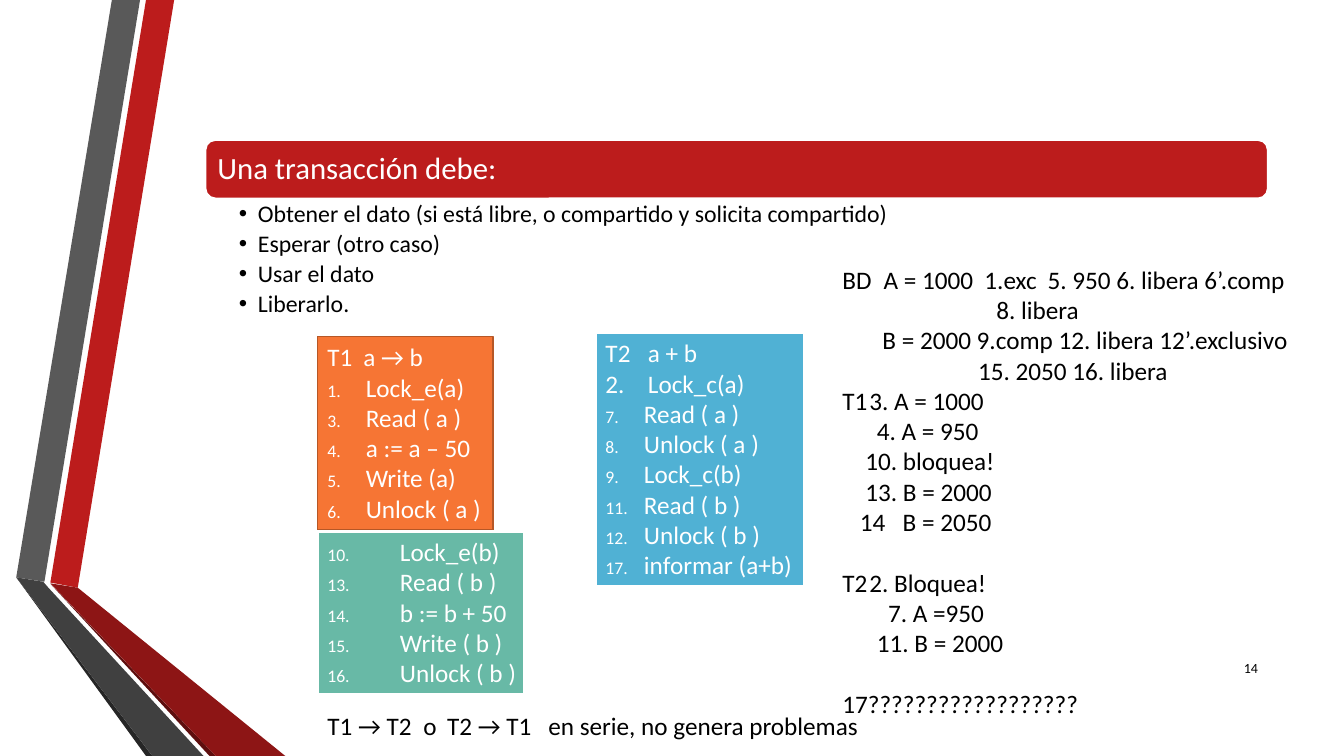
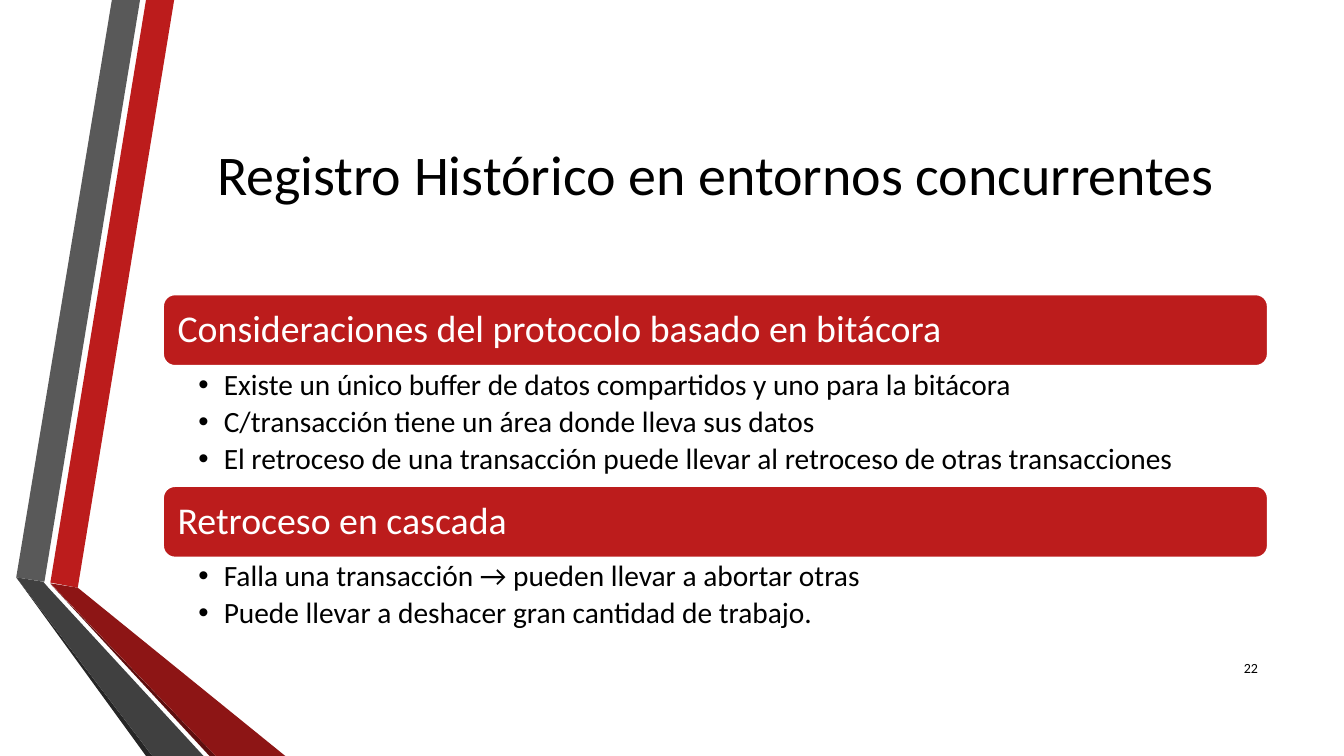
"""Build two slides on transaction locking and log-based recovery."""
from dataclasses import dataclass

from lxml.etree import SubElement
from pptx import Presentation
from pptx.dml.color import RGBColor
from pptx.enum.shapes import MSO_SHAPE as Preset
from pptx.enum.text import MSO_ANCHOR as Anchor, PP_ALIGN as Align
from pptx.oxml.ns import qn
from pptx.util import Cm, Pt


@dataclass(frozen=True)
class Theme:
    font: str = "Calibri"
    ink: str = "000000"
    paper: str = "FFFFFF"
    red: str = "BC1C1C"
    orange: str = "F67534"
    rust: str = "B65726"
    blue: str = "50B1D4"
    green: str = "68B9A6"
    title: int = 40
    body: int = 18
    page: int = 10


THEME = Theme()
WIDTH, HEIGHT = 33.87, 19.05
RIGHT = 31.95

RIBBONS = [
    (THEME.red, [(1.27, 14.68), (1.96, 14.81), (4.39, 0), (3.68, 0)]),
    ("595959", [(3.53, 0), (2.82, 0), (0.41, 14.55), (1.12, 14.66)]),
    ("262626", [(0.41, 14.55), (3.68, HEIGHT), (3.84, HEIGHT)]),
    ("5E0E0E", [(1.27, 14.71), (5.28, HEIGHT), (5.44, HEIGHT)]),
    ("8D1515", [(1.27, 14.7), (5.44, HEIGHT), (7.19, HEIGHT), (1.96, 14.81)]),
    ("404040", [(5.13, HEIGHT), (1.22, 14.81), (1.09, 14.66), (0.41, 14.55), (3.84, HEIGHT)]),
]

LOCKING = dict(
    page="14",
    left=5.18, top=3.53, band=1.47, row=0.8, head_size=22, item_size=17,
    head_inset=0.23, item_inset=(0.84, 0.08), hang=0.48,
    sections=[("Una transacción debe:", [
        "Obtener el dato (si está libre, o compartido y solicita compartido)",
        "Esperar (otro caso)",
        "Usar el dato",
        "Liberarlo.",
    ])],
)
RECOVERY = dict(
    page="22",
    title="Registro Histórico en entornos concurrentes",
    left=4.11, top=7.42, band=1.8, row=1.01, head_size=27, item_size=21,
    head_inset=0.28, item_inset=(0.89, 0.1), hang=0.64,
    sections=[
        ("Consideraciones del protocolo basado en bitácora", [
            "Existe un único buffer de datos compartidos y uno para la bitácora",
            "C/transacción tiene un área donde lleva sus datos",
            "El retroceso de una transacción puede llevar al retroceso de otras transacciones",
        ]),
        ("Retroceso en cascada", [
            "Falla una transacción → pueden llevar a abortar otras",
            "Puede llevar a deshacer gran cantidad de trabajo.",
        ]),
    ],
)

SCHEDULES = [
    dict(at=(8, 8.48, 4.42, 4.88), fill=THEME.orange, line=THEME.rust, weight=1.25, hang=0.97,
         heads=[[(0, "T1"), (0.91, "a → b")]],
         steps=[(1, "Lock_e(a)"), (3, "Read ( a )"), (4, "a := a – 50"),
                (5, "Write (a)"), (6, "Unlock ( a )")]),
    dict(at=(15.01, 8.38, 5.26, 6.4), fill=THEME.blue, line=THEME.paper, weight=1.75, hang=0.97,
         heads=[[(0, "T2"), (1.07, "a + b")], [(0, "2."), (1.07, "Lock_c(a)")]],
         steps=[(7, "Read ( a )"), (8, "Unlock ( a )"), (9, "Lock_c(b)"),
                (11, "Read ( b )"), (12, "Unlock ( b )"), (17, "informar (a+b)")]),
    dict(at=(8, 13.39, 5.21, 4.11), fill=THEME.green, line=THEME.paper, weight=1.75, hang=1.83,
         heads=[],
         steps=[(10, "Lock_e(b)"), (13, "Read ( b )"), (14, "b := b + 50"),
                (15, "Write ( b )"), (16, "Unlock ( b )")]),
]

TRACE = [
    [
        [(0, "BD"), (1.04, "A = 1000"), (3.58, "1.exc"), (5.17, "5. 950 6. libera 6’.comp")],
        [(3.88, "8. libera")],
        [(1.01, "B = 2000 9.comp 12. libera 12’.exclusivo")],
        [(3.42, "15. 2050 16. libera")],
        [(0, "T1"), (0.68, "3. A = 1000")],
        [(0.87, "4. A = 950")],
        [(0.58, "10. bloquea!")],
        [(0.58, "13. B = 2000")],
        [(0.44, "14"), (1.52, "B = 2050")],
    ],
    [
        [(0, "T2"), (0.68, "2. Bloquea!")],
        [(1.15, "7. A =950")],
        [(0.87, "11. B = 2000")],
    ],
    [[(0, "17??????????????????")]],
]
SERIAL = [(0, "T1 → T2"), (2.42, "o"), (3.02, "T2 → T1"), (5.57, "en serie, no genera problemas")]


def rgb(value):
    return RGBColor.from_string(value)


def paint(shape, fill, line=None, weight=1.25):
    shape.shadow.inherit = False
    shape.fill.solid()
    shape.fill.fore_color.rgb = rgb(fill)
    if line:
        shape.line.color.rgb = rgb(line)
        shape.line.width = Pt(weight)
    else:
        shape.line.fill.background()


def set_frame(shape, anchor=Anchor.TOP, inset=(0.25, 0.13), right=None):
    frame = shape.text_frame
    frame.word_wrap = True
    frame.vertical_anchor = anchor
    frame.margin_left = Cm(inset[0])
    frame.margin_right = Cm(inset[0] if right is None else right)
    frame.margin_top = frame.margin_bottom = Cm(inset[1])
    return frame


def add_frame(slide, at, **options):
    return set_frame(slide.shapes.add_textbox(*map(Cm, at)), **options)


def write(frame, text, size=THEME.body, color=THEME.ink, align=Align.LEFT, spacing=None,
          before=0, after=0, bullet=None, number=None, hang=0, stops=()):
    paragraph = frame.paragraphs[0]
    if paragraph.runs:
        paragraph = frame.add_paragraph()
    paragraph.add_run().text = text
    paragraph.alignment = align
    paragraph.line_spacing = spacing
    paragraph.space_before, paragraph.space_after = Pt(before), Pt(after)
    props = paragraph._p.get_or_add_pPr()
    if hang:
        props.set("marL", str(Cm(hang)))
        props.set("indent", str(-Cm(hang)))
    if bullet:
        SubElement(props, qn("a:buFont"), typeface="Arial")
        SubElement(props, qn("a:buChar"), char=bullet)
    if number:
        SubElement(props, qn("a:buSzPct"), val="70000")
        SubElement(props, qn("a:buFont"), typeface="+mj-lt")
        SubElement(props, qn("a:buAutoNum"), type="arabicPeriod", startAt=str(number))
    if stops:
        tabs = SubElement(props, qn("a:tabLst"))
        for stop in stops:
            SubElement(tabs, qn("a:tab"), pos=str(Cm(stop)), algn="l")
    font = paragraph.font
    font.name, font.size = THEME.font, Pt(size)
    font.color.rgb = rgb(color)


def write_aligned(frame, segments, **options):
    text = "".join(f"\t{part}" if x else part for x, part in segments)
    write(frame, text, stops=[x for x, _ in segments if x], **options)


def add_base(deck, page):
    slide = deck.slides.add_slide(deck.slide_layouts[6])
    for color, corners in RIBBONS:
        points = [(Cm(x), Cm(y)) for x, y in corners]
        outline = slide.shapes.build_freeform(*points[0], scale=1.0)
        outline.add_line_segments(points[1:], close=True)
        paint(outline.convert_to_shape(), color)
    number = add_frame(slide, (30.43, 16.31, 1.52, 1.02), anchor=Anchor.MIDDLE)
    write(number, page, size=THEME.page, align=Align.RIGHT)
    return slide


def add_sections(slide, plan):
    left, top, width = plan["left"], plan["top"], RIGHT - plan["left"]
    size = plan["item_size"]
    for heading, items in plan["sections"]:
        band = slide.shapes.add_shape(
            Preset.ROUNDED_RECTANGLE, *map(Cm, (left, top, width, plan["band"])))
        paint(band, THEME.red, THEME.paper)
        frame = set_frame(band, Anchor.MIDDLE, (plan["head_inset"], 0))
        write(frame, heading, plan["head_size"], THEME.paper, spacing=0.9)
        top += plan["band"]
        height = plan["row"] * len(items)
        frame = add_frame(slide, (left, top, width, height), inset=plan["item_inset"])
        for item in items:
            write(frame, item, size, spacing=0.9, after=round(size * 0.18, 1),
                  bullet="•", hang=plan["hang"])
        top += height


def add_schedule(slide, plan):
    box = slide.shapes.add_shape(Preset.RECTANGLE, *map(Cm, plan["at"]))
    paint(box, plan["fill"], plan["line"], plan["weight"])
    frame = set_frame(box, right=0)
    for head in plan["heads"]:
        write_aligned(frame, head, color=THEME.paper)
    for number, step in plan["steps"]:
        write(frame, step, color=THEME.paper, number=number, hang=plan["hang"])


def add_trace(slide):
    frame = add_frame(slide, (20.98, 6.53, 12.85, 12.5))
    for block, lines in enumerate(TRACE):
        for row, segments in enumerate(lines):
            write_aligned(frame, segments, before=22 if block and not row else 0)


def main():
    deck = Presentation()
    deck.slide_width, deck.slide_height = Cm(WIDTH), Cm(HEIGHT)

    locking = add_base(deck, LOCKING["page"])
    add_sections(locking, LOCKING)
    for schedule in SCHEDULES:
        add_schedule(locking, schedule)
    write_aligned(add_frame(locking, (8, 17.78, 16.18, 1.02)), SERIAL)
    add_trace(locking)

    recovery = add_base(deck, RECOVERY["page"])
    title = add_frame(recovery, (4.11, 1.91, 27.84, 4.88), anchor=Anchor.MIDDLE)
    write(title, RECOVERY["title"], THEME.title, align=Align.CENTER)
    add_sections(recovery, RECOVERY)

    deck.save("out.pptx")


if __name__ == "__main__":
    main()
